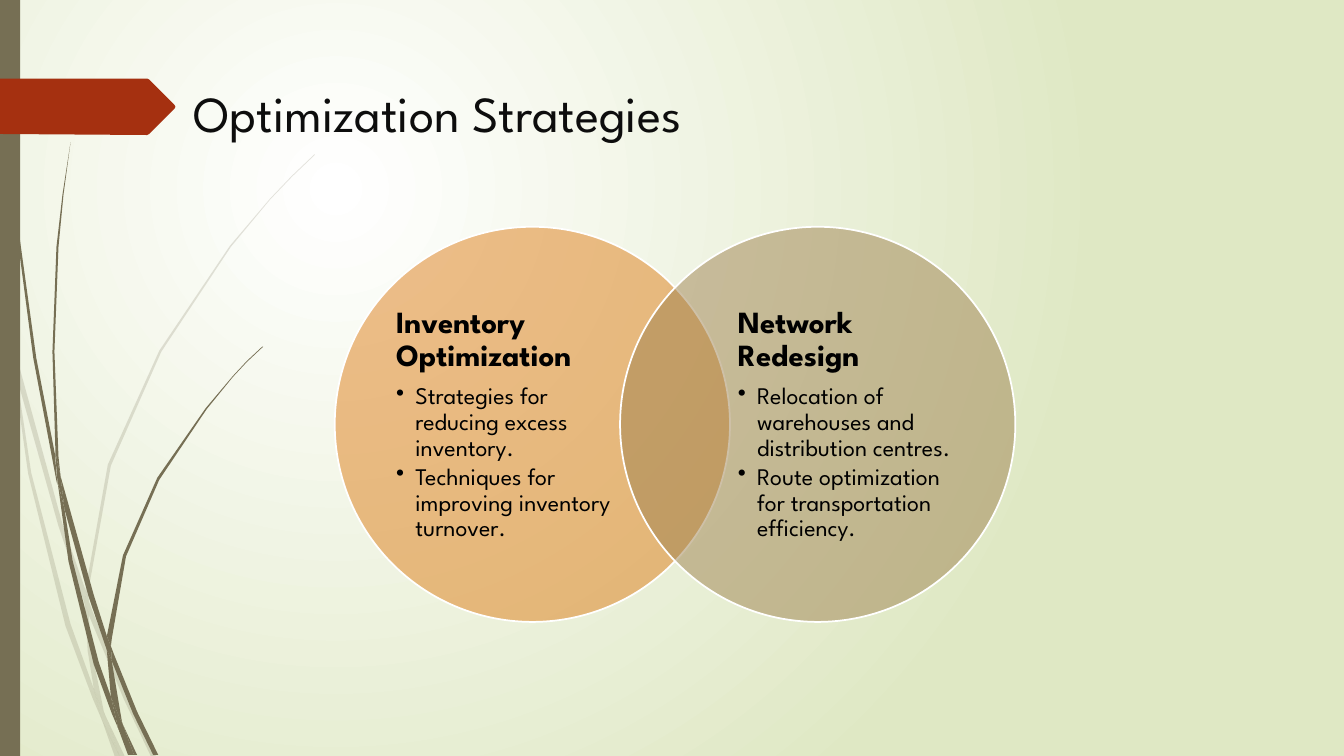
import pptx
import pptx.dml.color
import pptx.enum.shapes
import pptx.enum.text
import pptx.oxml
import pptx.oxml.ns
import pptx.util

PX = 9144  # EMU in one px: 100 px to the inch
FONT = "League Spartan"
OLIVE, RUST, BLACK, WHITE = "766F54", "A53010", "000000", "FFFFFF"

# Each outline is a closed run of x,y corners in px
PALE_BLADES = [
    "11,350 9,322 0,282 0,299 10,344",
    "58,522 84,599 85,586 62,520 14,345 17,376",
    "92,607 88,596 88,610 123,694 150,751 155,751 127,692",
    "119,751 124,751 105,711",
    "93,683 70,619 31,469 17,376 11,350 28,470 65,621 92,693 101,714 99,707",
    "84,599 87,646 93,683 96,692 105,711 103,706 91,646 88,610 88,608",
    "88,584 110,462 160,349 229,245 268,198 290,175 312,154 312,153 289,175 268,197"
    " 228,244 158,348 107,461 85,584 85,586 88,596",
    "101,714 114,751 119,751",
    "88,608 88,610 88,596 85,586 84,599",
    "96,692 93,683 99,707 101,714 119,751 105,711",
]
DARK_BLADES = [
    "7,110 17,233 33,355 56,477 57,481 55,457 55,453 36,355 19,232 8,109 5,48 4,0"
    " 3,0 4,48",
    "88,592 106,645 106,633 106,631 93,590 60,472 64,505",
    "113,649 110,641 111,656 132,708 152,749 157,749 136,706",
    "110,691 98,657 72,556 64,505 57,477 68,557 93,659 111,708 117,722 116,717",
    "60,472 58,453 54,349 58,245 63,193 70,141 62,193 56,245 52,349 55,449",
    "133,749 136,749 122,719",
    "57,477 64,505 60,472 55,449 55,453",
    "111,633 125,552 158,476 205,406 231,374 245,359 261,344 260,344 245,358 231,373"
    " 204,405 156,474 122,551 106,631 110,641",
    "117,722 127,749 131,749",
    "106,645 110,691 116,706 122,719 121,716 111,656 109,651",
    "106,645 109,651 111,656 110,641 106,631 106,633",
    "116,706 110,691 116,717 117,722 130,749 133,749 122,719",
]
TITLE_ARROW = "0,78 146,78 148,79 173,104 174,106 173,108 148,133 146,134 0,133"

# Circle left, text left, colour, heading, points
STRATEGIES = [
    (332, 387, "DE7E18", "Inventory Optimization",
     ["Strategies for reducing excess inventory.",
      "Techniques for improving inventory turnover."]),
    (615, 726, "9F8351", "Network Redesign",
     ["Relocation of warehouses and distribution centres.",
      "Route optimization for transportation efficiency."]),
]


def color(hex_string):
    return pptx.dml.color.RGBColor.from_string(hex_string)


def add_xml(parent, tag, **attributes):
    child = pptx.oxml.parse_xml(f"<a:{tag} {pptx.oxml.ns.nsdecls('a')}/>")
    for name, value in attributes.items():
        child.set(name, str(value))
    parent.append(child)
    return child


class SlideBuilder:
    def __init__(self, presentation):
        self.slide = presentation.slides.add_slide(presentation.slide_layouts[5])
        self.shapes = self.slide.shapes

    def background(self, inner, outer):
        fill = self.slide.background.fill
        fill.gradient()
        for stop, position, tone in zip(fill.gradient_stops, (0, 1), (inner, outer)):
            stop.position = position
            stop.color.rgb = color(tone)
        gradient = self.slide.element.find(".//" + pptx.oxml.ns.qn("a:gradFill"))
        gradient.remove(gradient.find(pptx.oxml.ns.qn("a:lin")))
        circle = add_xml(gradient, "path", path="circle")
        add_xml(circle, "fillToRect", l=50000, t=50000, r=100000, b=100000)

    def group(self):
        return self.shapes.add_group_shape().shapes

    def paint(self, shape, fill, opacity=100, line=None):
        shape.shadow.inherit = False
        shape.fill.solid()
        shape.fill.fore_color.rgb = color(fill)
        if opacity < 100:
            tone = shape.element.spPr.find(".//" + pptx.oxml.ns.qn("a:srgbClr"))
            add_xml(tone, "alpha", val=opacity * 1000)
        if line:
            shape.line.color.rgb = color(line)
            shape.line.width = pptx.util.Pt(1.25)
        else:
            shape.line.fill.background()

    def outline(self, shapes, corners, fill, opacity=100):
        points = [tuple(map(int, corner.split(","))) for corner in corners.split()]
        builder = shapes.build_freeform(*points[0], scale=PX)
        builder.add_line_segments(points[1:], close=True)
        self.paint(builder.convert_to_shape(), fill, opacity)

    def preset(self, shapes, kind, box, fill, opacity=100, line=None):
        shape = shapes.add_shape(kind, *(length * PX for length in box))
        self.paint(shape, fill, opacity, line)

    def run(self, paragraph, text, size, tone, bold=False):
        run = paragraph.add_run()
        run.text = text
        run.font.name = FONT
        run.font.size = pptx.util.Pt(size)
        run.font.bold = bold
        run.font.color.rgb = color(tone)

    def title(self, text, box):
        title = self.shapes.title
        title.left, title.top, title.width, title.height = (v * PX for v in box)
        frame = title.text_frame
        frame.word_wrap = True
        frame.vertical_anchor = pptx.enum.text.MSO_ANCHOR.TOP
        frame.paragraphs[0].alignment = pptx.enum.text.PP_ALIGN.LEFT
        self.run(frame.paragraphs[0], text, 36, "0D0D0D")

    def spacing(self, paragraph, after):
        paragraph.line_spacing = 0.9
        properties = paragraph._p.get_or_add_pPr()
        add_xml(add_xml(properties, "spcAft"), "spcPct", val=after * 1000)
        return properties

    def bulleted_text(self, shapes, box, heading, points):
        frame = shapes.add_textbox(*(length * PX for length in box)).text_frame
        frame.word_wrap = True
        frame.vertical_anchor = pptx.enum.text.MSO_ANCHOR.MIDDLE
        frame.margin_top = frame.margin_right = frame.margin_bottom = 0
        frame.margin_left = 6 * PX
        self.spacing(frame.paragraphs[0], 35)
        self.run(frame.paragraphs[0], heading, 22, BLACK, bold=True)
        for point in points:
            paragraph = frame.add_paragraph()
            paragraph.level = 1
            properties = self.spacing(paragraph, 15)
            properties.set("marL", str(19 * PX))
            properties.set("indent", str(-19 * PX))
            add_xml(properties, "buChar", char="•")
            self.run(paragraph, point, 17, BLACK)


def main():
    presentation = pptx.Presentation()
    presentation.slide_width = 1333 * PX
    presentation.slide_height = 750 * PX
    builder = SlideBuilder(presentation)
    preset = pptx.enum.shapes.MSO_SHAPE

    # Backdrop: gradient, grass blades, side bar and title arrow
    builder.background(WHITE, "DFE8C4")
    for blades, opacity in ((PALE_BLADES, 20), (DARK_BLADES, 100)):
        grass = builder.group()
        for blade in blades:
            builder.outline(grass, blade, OLIVE, opacity)
    builder.preset(builder.shapes, preset.RECTANGLE, (0, 0, 20, 750), OLIVE)
    builder.outline(builder.shapes, TITLE_ARROW, RUST)

    builder.title("Optimization Strategies", (182, 76, 587, 72))

    # Overlapping circles with their text
    venn = builder.group()
    for circle_left, text_left, tone, heading, points in STRATEGIES:
        builder.preset(venn, preset.OVAL, (circle_left, 225, 392, 392), tone, 50, WHITE)
        builder.bulleted_text(venn, (text_left, 271, 226, 300), heading, points)

    presentation.save("out.pptx")


if __name__ == "__main__":
    main()
